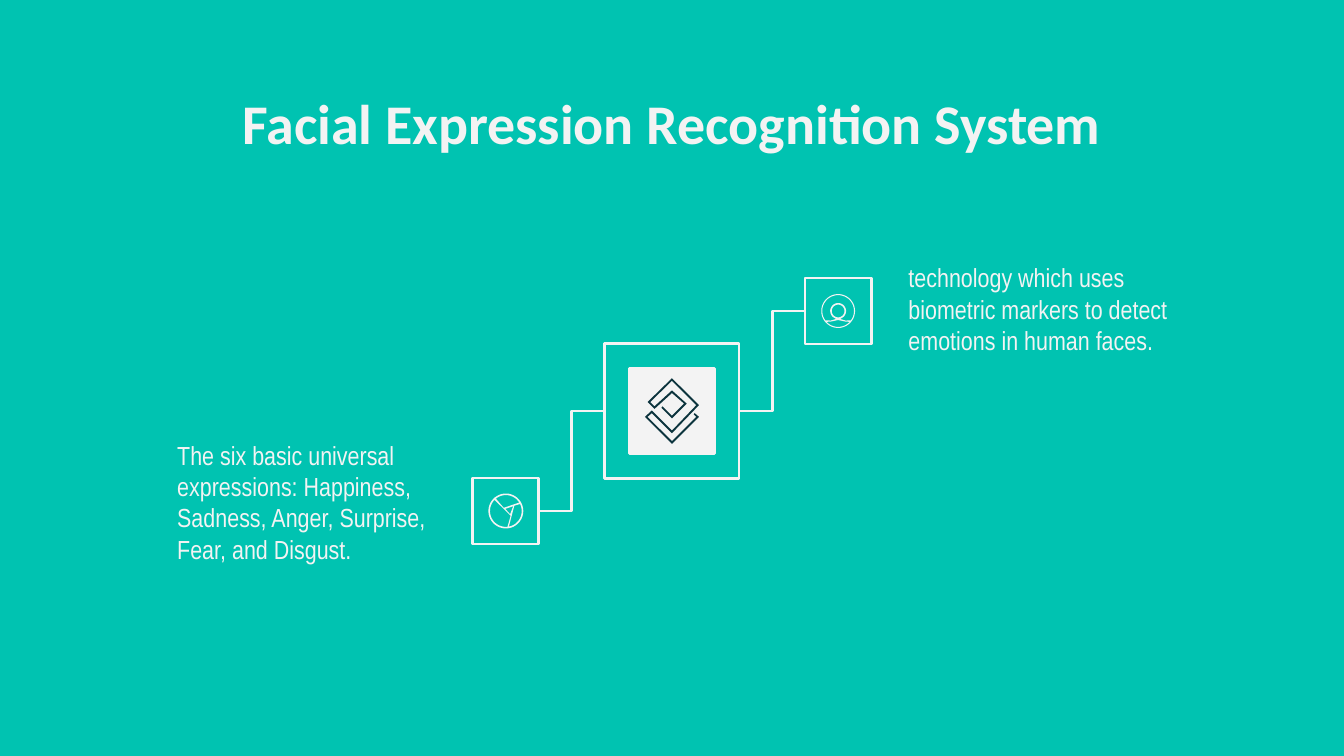
import math
from dataclasses import dataclass

import pptx
import pptx.dml.color
import pptx.enum.shapes
import pptx.enum.text
import pptx.util
from lxml import etree
from pptx.util import Cm

TEAL, OFF_WHITE, NAVY = "00C3B1", "F3F3F3", "0C343D"
Point = tuple[float, float]
Contour = list[Point]


@dataclass
class Square:
    """A square given by its centre and side, in cm."""
    x: float
    y: float
    side: float
    filled: bool = False


@dataclass
class Icon:
    """Contours in cm around a centre; inner contours are holes."""
    x: float
    y: float
    color: str
    contours: list[Contour]


@dataclass
class Caption:
    text: str
    box: tuple[float, float, float, float]
    font: dict
    paragraph: dict


def rgb(color: str) -> pptx.dml.color.RGBColor:
    return pptx.dml.color.RGBColor.from_string(color)


def set_fill(fill, color: str) -> None:
    fill.solid()
    fill.fore_color.rgb = rgb(color)


def set_line(line) -> None:
    line.color.rgb = rgb(OFF_WHITE)
    line.width = pptx.util.Pt(1.5)


def arc(radius: float, start: float, end: float) -> Contour:
    """Points on an arc round the icon's centre; degrees run clockwise from the right."""
    steps = max(2, round(abs(end - start) / 8))
    angles = [math.radians(start + (end - start) * i / steps) for i in range(steps + 1)]
    return [(radius * math.cos(a), radius * math.sin(a)) for a in angles]


def draw_square(shapes, square: Square):
    half = square.side / 2
    shape = shapes.add_shape(
        pptx.enum.shapes.MSO_SHAPE.RECTANGLE,
        Cm(square.x - half), Cm(square.y - half), Cm(square.side), Cm(square.side))
    shape.shadow.inherit = False
    if square.filled:
        set_fill(shape.fill, OFF_WHITE)
    else:
        shape.fill.background()
    set_line(shape.line)
    return shape


def draw_icon(shapes, icon: Icon) -> None:
    contours = [[(Cm(icon.x + x), Cm(icon.y + y)) for x, y in contour]
                for contour in icon.contours]
    outer, *holes = contours
    builder = shapes.build_freeform(*outer[0])
    builder.add_line_segments(outer[1:], close=True)
    for hole in holes:
        builder.move_to(*hole[0])
        builder.add_line_segments(hole[1:], close=True)
    shape = builder.convert_to_shape()
    shape.shadow.inherit = False
    set_fill(shape.fill, icon.color)
    shape.line.fill.background()


def draw_elbow(shapes, right_square, left_square) -> None:
    """Join the left side of one square to the right side of another."""
    elbow = shapes.add_connector(pptx.enum.shapes.MSO_CONNECTOR.ELBOW, 0, 0, 0, 0)
    elbow.begin_connect(right_square, 1)
    elbow.end_connect(left_square, 3)
    set_line(elbow.line)
    properties = elbow._element.spPr
    etree.SubElement(properties, pptx.oxml.ns.qn("a:effectLst"))


def draw_caption(shapes, caption: Caption) -> None:
    frame = shapes.add_textbox(*map(Cm, caption.box)).text_frame
    frame.word_wrap = True
    for side in ("left", "top", "right", "bottom"):
        setattr(frame, f"margin_{side}", Cm(0.25))
    paragraph = frame.paragraphs[0]
    run = paragraph.add_run()
    run.text = caption.text
    for target, values in ((paragraph, caption.paragraph), (run.font, caption.font)):
        for name, value in values.items():
            setattr(target, name, value)
    run.font.color.rgb = rgb(OFF_WHITE)


TITLE_FONT = {"name": "Calibri", "size": pptx.util.Pt(30), "bold": True}
BODY_FONT = {"name": "Arial Narrow", "size": pptx.util.Pt(14)}
CENTRED = {"alignment": pptx.enum.text.PP_ALIGN.CENTER}
SPACED = {"space_after": pptx.util.Pt(16)}

CAPTIONS = [
    Caption("Facial Expression Recognition System", (2, 1.42, 21.4, 1.6), TITLE_FONT, CENTRED),
    Caption("technology which uses biometric markers to detect emotions in human faces.",
            (16.92, 4.7, 6.1, 1.24), BODY_FONT, SPACED),
    Caption("The six basic universal expressions: Happiness, Sadness, Anger, Surprise, "
            "Fear, and Disgust.", (3.1, 8.05, 6.1, 3.07), BODY_FONT, SPACED),
]

CENTRE_X, CENTRE_Y = 12.7, 7.77
STEP_X, STEP_Y = 3.14, 1.89
SYSTEM = Square(CENTRE_X, CENTRE_Y, 2.54)
CORE = Square(CENTRE_X, CENTRE_Y, 1.6, filled=True)
EXPRESSIONS = Square(CENTRE_X - STEP_X, CENTRE_Y + STEP_Y, 1.25)
TECHNOLOGY = Square(CENTRE_X + STEP_X, CENTRE_Y - STEP_Y, 1.25)

SPIRAL = Icon(CORE.x, CORE.y, NAVY, [[
    (0, -0.62), (-0.46, -0.17), (-0.33, -0.04), (0, -0.34), (0.23, -0.14), (0, 0.09),
    (-0.18, -0.09), (-0.2, -0.06), (0, 0.14), (0.28, -0.14), (0, -0.39), (-0.33, -0.09),
    (-0.41, -0.17), (0, -0.57), (0.46, -0.11), (0, 0.37), (-0.38, -0.01), (-0.51, 0.11),
    (0, 0.62), (0.51, 0.11), (0.43, 0.04), (0.41, 0.06), (0.46, 0.11), (0, 0.57),
    (-0.46, 0.11), (-0.38, 0.04), (0, 0.42), (0.51, -0.11)]])
PERSON = Icon(TECHNOLOGY.x, TECHNOLOGY.y, OFF_WHITE, [
    arc(0.32, 0, 360),
    arc(0.12, 0, 360),
    arc(0.3, 144, 396) + [(0.14, 0.18), (0.04, 0.15)] + arc(0.15, 50, -230)
    + [(-0.04, 0.15), (-0.14, 0.18)],
    arc(0.3, 43, 137) + [(-0.14, 0.2), (0, 0.17), (0.14, 0.2)]])
PIE = Icon(EXPRESSIONS.x, EXPRESSIONS.y, OFF_WHITE, [
    arc(0.33, 0, 360),
    arc(0.3, 231, 328) + [(-0.04, -0.06)],
    [(0.14, -0.09), (0.08, 0.06), (-0.01, -0.04)],
    arc(0.3, -26, 79) + [(0.16, -0.1)],
    arc(0.3, 84, 224) + [(-0.04, -0.04), (0.09, 0.09)]])


def main() -> None:
    deck = pptx.Presentation()
    deck.slide_width, deck.slide_height = Cm(25.4), Cm(14.29)
    slide = deck.slides.add_slide(deck.slide_layouts[6])
    set_fill(slide.background.fill, TEAL)
    shapes = slide.shapes

    system, _, expressions, technology = [
        draw_square(shapes, square) for square in (SYSTEM, CORE, EXPRESSIONS, TECHNOLOGY)]
    for icon in (SPIRAL, PERSON, PIE):
        draw_icon(shapes, icon)
    draw_elbow(shapes, system, expressions)
    draw_elbow(shapes, technology, system)
    for caption in CAPTIONS:
        draw_caption(shapes, caption)
    deck.save("out.pptx")


if __name__ == "__main__":
    main()
